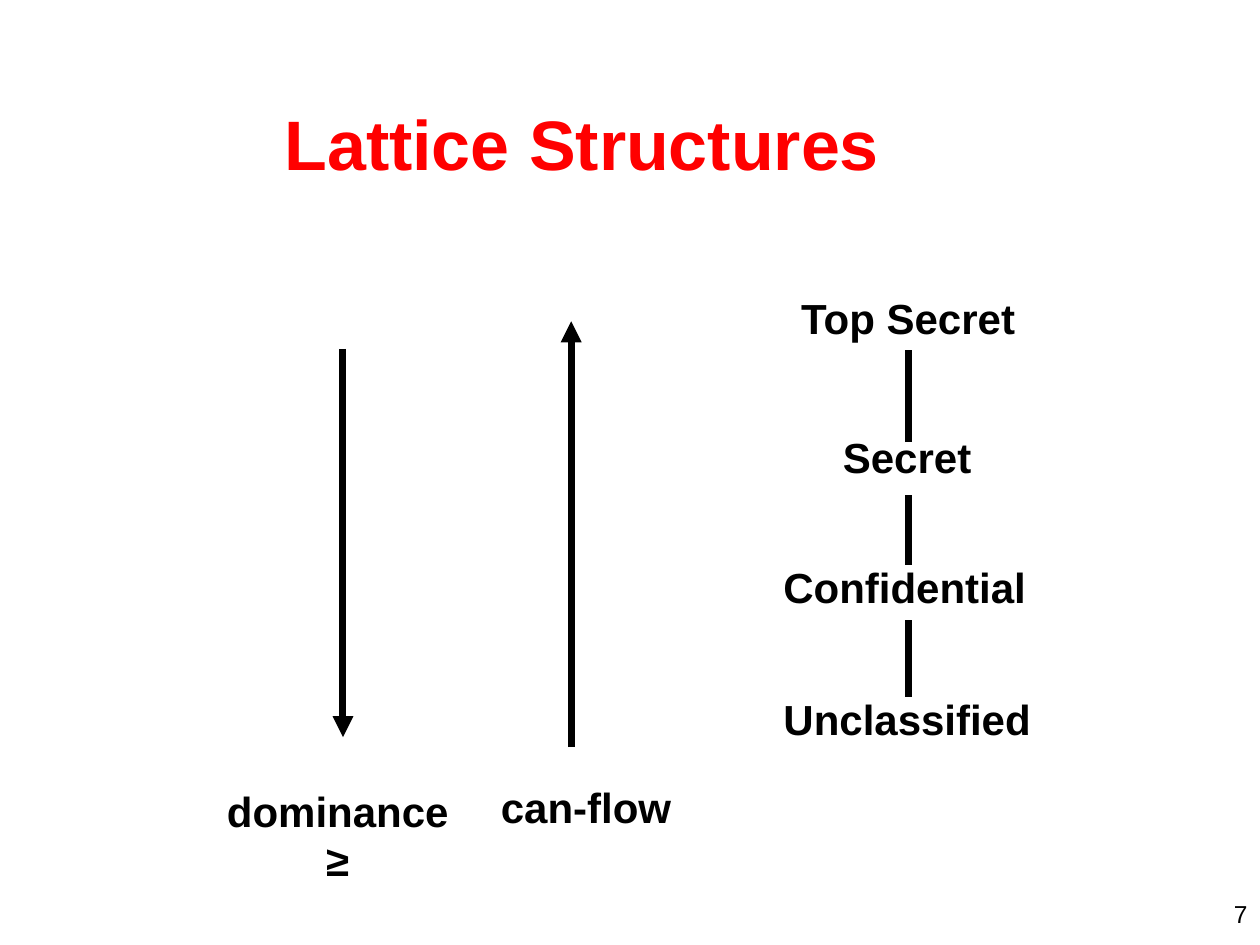
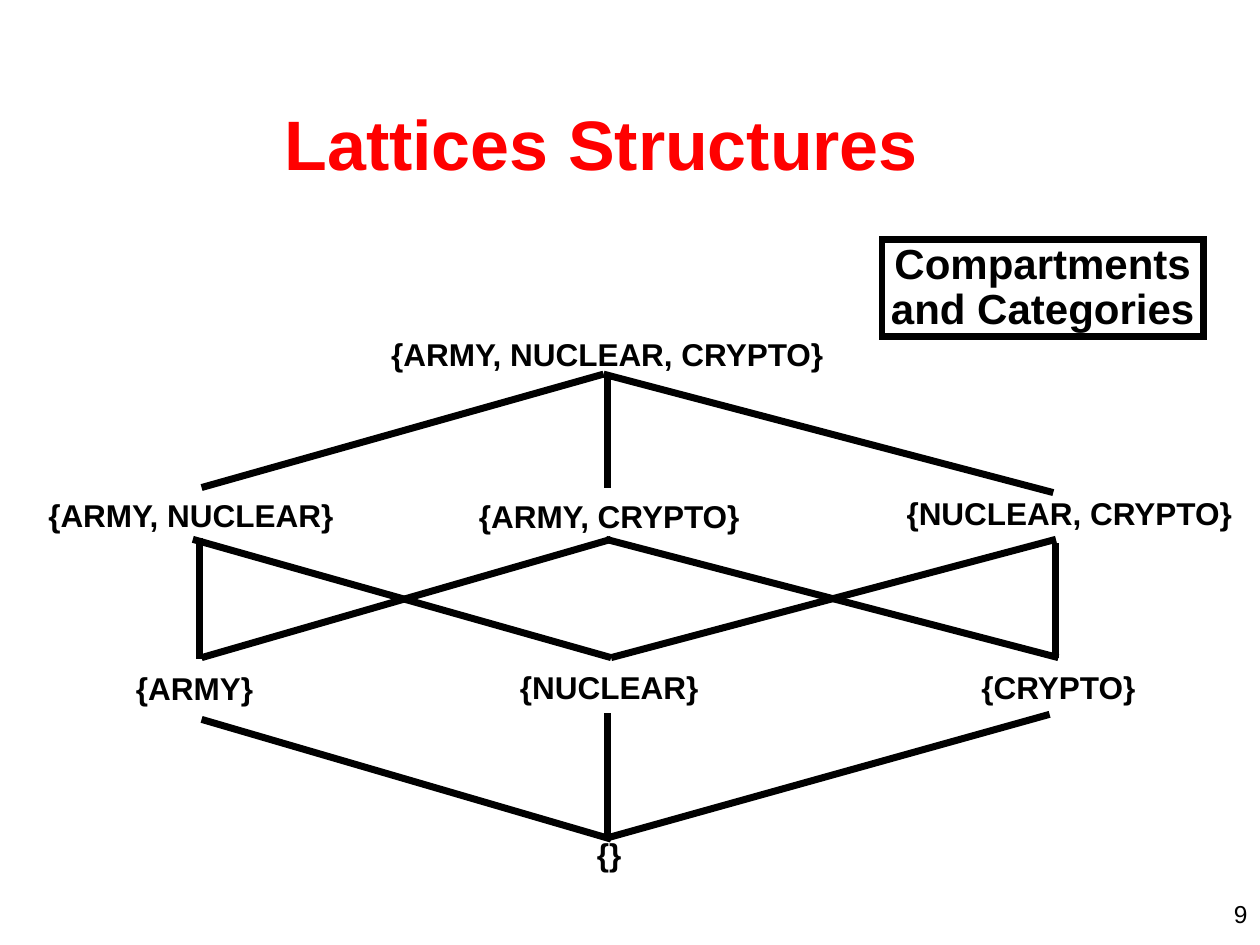
from lxml.etree import SubElement
from pptx import Presentation
from pptx.dml.color import RGBColor
from pptx.enum.shapes import MSO_CONNECTOR, MSO_SHAPE
from pptx.enum.text import MSO_ANCHOR, MSO_AUTO_SIZE, PP_ALIGN
from pptx.oxml.ns import qn
from pptx.util import Pt

RED, BLACK = "FF0000", "000000"
FONT = "Arial"
LEFT, MID, RIGHT = PP_ALIGN.LEFT, PP_ALIGN.CENTER, PP_ALIGN.RIGHT

LEVELS = [
    ("Top Secret", 452, 169.2, 133.9),
    ("Secret", 476.6, 248.4, 83.5),
    ("Confidential", 442.8, 322.6, 148.3),
    ("Unclassified", 442.8, 398.2, 151.2),
    ("can-flow", 281.2, 448.6, 107.3),
]
CHAIN_X = 519.1
CHAIN = [(200.2, 252.7), (283, 322.6), (354.2, 398.2)]
ARROWS = [(326.4, 427, 326.4, 183.6), (196, 199.4, 196, 421.2)]

SETS = [
    ("{ARMY, NUCLEAR, CRYPTO}", 217.1, 192.7, 259.9),
    ("{ARMY, NUCLEAR}", 21.6, 284.4, 175),
    ("{ARMY, CRYPTO}", 267.1, 285.4, 162),
    ("{NUCLEAR, CRYPTO}", 512.4, 283.4, 197.3),
    ("{ARMY}", 72.7, 383.5, 77),
    ("{NUCLEAR}", 292.3, 382.7, 111.6),
    ("{CRYPTO}", 555.5, 382.7, 98.6),
    ("{}", 336.2, 478.6, 23.8),
]
EDGES = [
    (349.2, 479.5, 115.2, 411.1),
    (347, 478.8, 347, 407.5),
    (347, 478.8, 599.8, 408.2),
    (114.2, 376.6, 114.2, 307.4),
    (603.4, 375.8, 603.4, 310.3),
    (115.2, 278.6, 344.9, 213.8),
    (347, 278.6, 347, 213.8),
    (601.9, 281.5, 344.9, 213.8),
    (349.2, 375.8, 110.2, 308.2),
    (349.2, 375.8, 603.4, 308.2),
    (115.2, 375.8, 349.2, 308.2),
    (604.8, 375.8, 346.3, 308.2),
]


def color(code):
    return RGBColor.from_string(code)


def write(shape, lines, size, align=MID, space=None, tint=BLACK,
          bold=True, wrap=False, inset=(4, 2.1)):
    frame = shape.text_frame
    frame.word_wrap = wrap
    frame.auto_size = MSO_AUTO_SIZE.NONE if wrap else MSO_AUTO_SIZE.SHAPE_TO_FIT_TEXT
    frame.vertical_anchor = MSO_ANCHOR.TOP
    frame.margin_left = frame.margin_right = Pt(inset[0])
    frame.margin_top = frame.margin_bottom = Pt(inset[1])
    for i, line in enumerate(lines):
        para = frame.paragraphs[0] if i == 0 else frame.add_paragraph()
        para.text = line
        para.alignment = align
        if space:
            para.line_spacing = space
        font = para.font
        font.name, font.size, font.bold = FONT, Pt(size), bold
        font.color.rgb = color(tint)


def label(slide, lines, box, size, **style):
    write(slide.shapes.add_textbox(*map(Pt, box)), lines, size, **style)


def labels(slide, items, height, size, space):
    for text, left, top, width in items:
        label(slide, [text], (left, top, width, height), size, space=space)


def link(slide, ends, arrow=False):
    line = slide.shapes.add_connector(MSO_CONNECTOR.STRAIGHT, *map(Pt, ends))
    line.line.color.rgb = color(BLACK)
    line.line.width = Pt(4)
    if arrow:
        SubElement(line.line._get_or_add_ln(), qn("a:tailEnd"), type="triangle")
    SubElement(line._element.spPr, qn("a:effectLst"))


def start(deck, title, width, number):
    slide = deck.slides.add_slide(deck.slide_layouts[6])
    label(slide, [title], (157.7, 55.4, width, 51.8), 40, align=LEFT, tint=RED,
          inset=(4.9, 2.2))
    label(slide, [number], (552.2, 510, 167.8, 18), 14, align=RIGHT,
          bold=False, wrap=True, inset=(7.2, 3.6))
    return slide


def chain(deck):
    slide = start(deck, "Lattice Structures", 349.9, "7")
    labels(slide, LEVELS, 28.8, 24, 0.87)
    label(slide, ["dominance", "≥"], (124.6, 448.6, 136.8, 59.8), 24, space=0.97)
    for top, low in CHAIN:
        link(slide, (CHAIN_X, low, CHAIN_X, top))
    for ends in ARROWS:
        link(slide, ends, arrow=True)


def lattice(deck):
    slide = start(deck, "Lattices Structures", 372.2, "9")
    labels(slide, SETS, 22.3, 18, 0.85)
    box = slide.shapes.add_shape(MSO_SHAPE.RECTANGLE, *map(Pt, (504, 136.8, 183.6, 55.4)))
    box.shadow.inherit = False
    box.fill.background()
    box.line.color.rgb = color(BLACK)
    box.line.width = Pt(4)
    SubElement(box.line._get_or_add_ln(), qn("a:miter"), lim="800000")
    write(box, ["Compartments", "and Categories"], 24, space=0.9)
    for ends in EDGES:
        link(slide, ends)


def main():
    deck = Presentation()
    deck.slide_width, deck.slide_height = Pt(720), Pt(540)
    chain(deck)
    lattice(deck)
    deck.save("out.pptx")


if __name__ == "__main__":
    main()
